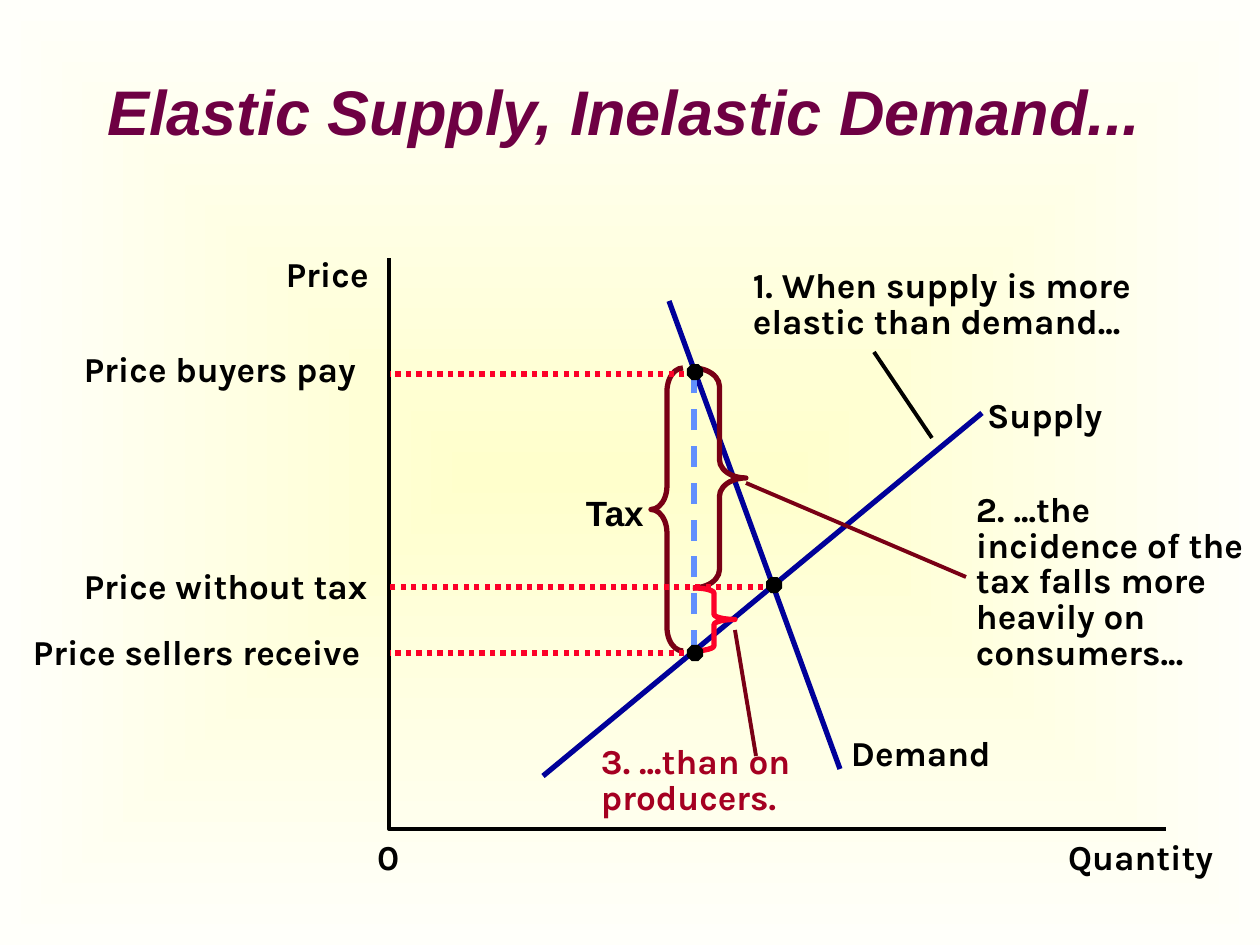
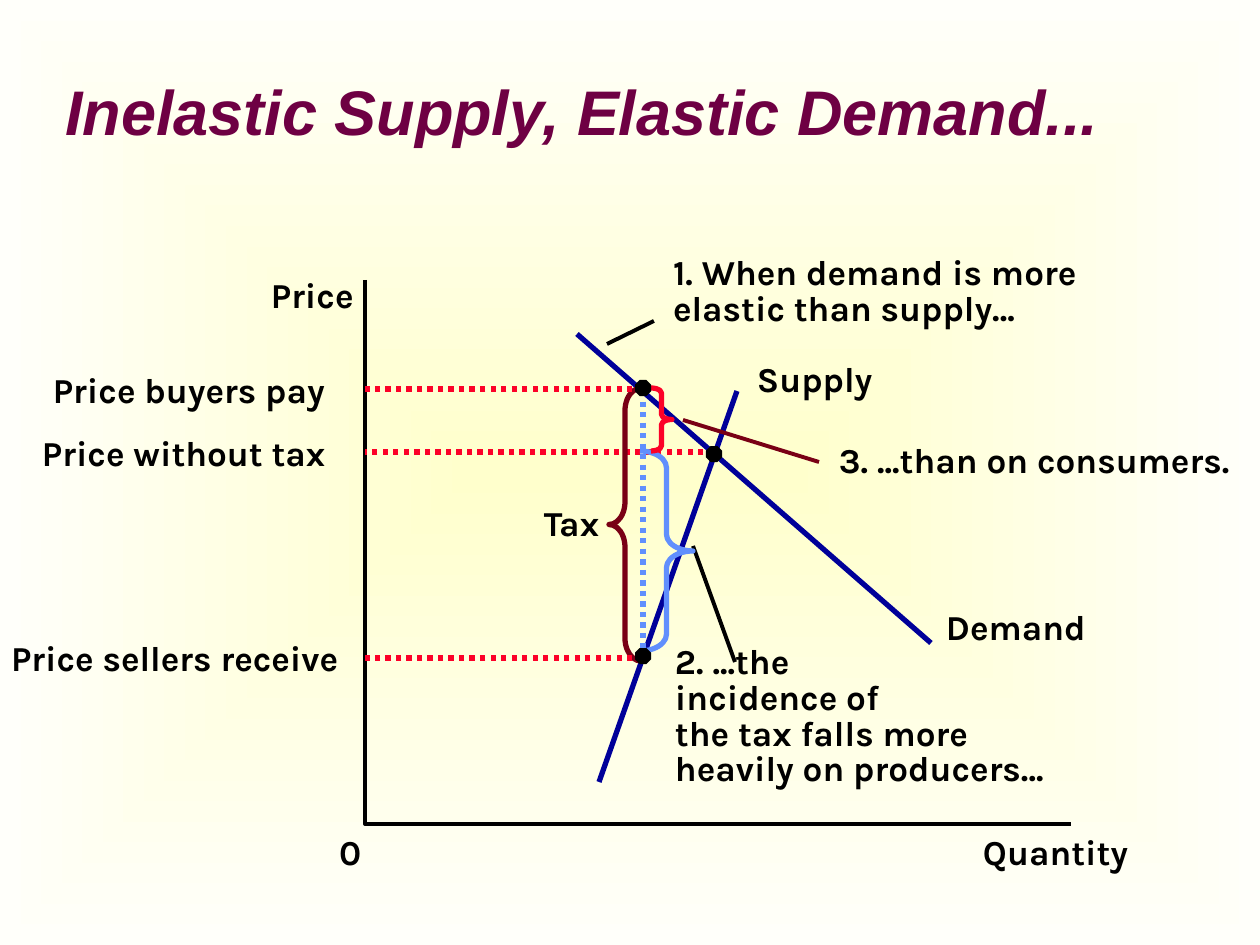
from lxml import etree
from pptx import Presentation
from pptx.dml.color import RGBColor
from pptx.enum.dml import MSO_LINE
from pptx.enum.shapes import MSO_CONNECTOR, MSO_SHAPE
from pptx.enum.text import MSO_ANCHOR
from pptx.oxml.ns import qn
from pptx.util import Pt

SCALE = 914400 / 126  # EMU per px
SLIDE_WIDTH, SLIDE_HEIGHT = 1260, 945
LABEL_HEIGHT, CALLOUT_LINE_HEIGHT = 42, 36
DOT_SIZE = 16

STRAIGHT = MSO_CONNECTOR.STRAIGHT
LEFT_BRACE, RIGHT_BRACE = MSO_SHAPE.LEFT_BRACE, MSO_SHAPE.RIGHT_BRACE
OCTAGON = MSO_SHAPE.OCTAGON
DOTTED, DASHED = MSO_LINE.ROUND_DOT, MSO_LINE.DASH
MIDDLE = MSO_ANCHOR.MIDDLE

TITLE_FONT, LABEL_FONT = "Arial", "Karla"
COLORS = {
    "center": "FFFFCC",
    "edge": "FFFFFA",
    "title": "6E0043",
    "black": "000000",
    "curve": "000099",
    "level": "FC0128",
    "tax": "790015",
    "blue": "618FFD",
    "crimson": "A50021",
}
LABEL_WIDTHS = {
    "Price": 87,
    "Quantity": 156,
    "0": 20,
    "Demand": 147,
    "Supply": 117,
    "Tax": 62,
    "Price buyers pay": 289,
    "Price without tax": 301,
    "Price sellers receive": 347,
}


def px(*lengths):
    return [round(length * SCALE) for length in lengths]


def color(name):
    return RGBColor.from_string(COLORS[name])


def add_slide(presentation):
    """Add a blank slide with a glow from the centre."""
    slide = presentation.slides.add_slide(presentation.slide_layouts[6])
    fill = slide.background.fill
    fill.gradient()
    for stop, name in zip(fill.gradient_stops, ("center", "edge")):
        stop.color.rgb = color(name)
    gradient = slide.element.find(".//" + qn("a:gradFill"))
    gradient.remove(gradient.find(qn("a:lin")))
    glow = etree.SubElement(gradient, qn("a:path"), {"path": "rect"})
    sides = {side: "50000" for side in "ltrb"}
    etree.SubElement(glow, qn("a:fillToRect"), sides)
    return slide


def style_font(font, name, size, color_name):
    font.name = name
    font.size = Pt(size)
    font.bold = True
    font.color.rgb = color(color_name)


def add_title(slide, text, left):
    box = slide.shapes.add_textbox(*px(left, 32, 1150, 157))
    frame = box.text_frame
    frame.word_wrap = True
    frame.vertical_anchor = MIDDLE
    paragraph = frame.paragraphs[0]
    paragraph.text = text
    style_font(paragraph.font, TITLE_FONT, 36, "title")
    paragraph.font.italic = True


def add_text(slide, lines, left, top, width, height, spacing, color_name, font):
    box = slide.shapes.add_textbox(*px(left, top, width, height))
    frame = box.text_frame
    frame.word_wrap = False
    frame.margin_left = frame.margin_right = 0
    frame.margin_top = frame.margin_bottom = 0
    for index, line in enumerate(lines):
        paragraph = frame.add_paragraph() if index else frame.paragraphs[0]
        paragraph.text = line
        paragraph.line_spacing = spacing
        style_font(paragraph.font, font, 20, color_name)


def add_label(slide, text, left, top, width=None, font=LABEL_FONT):
    width = width or LABEL_WIDTHS[text]
    add_text(slide, [text], left, top, width, LABEL_HEIGHT, 1.0, "black", font)


def add_callout(slide, lines, left, top, width, color_name="black"):
    height = CALLOUT_LINE_HEIGHT * len(lines)
    add_text(slide, lines, left, top, width, height, 0.85, color_name, LABEL_FONT)


def add_line(slide, start, end, color_name, weight=3, dash=None):
    connector = slide.shapes.add_connector(STRAIGHT, *px(*start, *end))
    connector.line.color.rgb = color(color_name)
    connector.line.width = Pt(weight)
    if dash:
        connector.line.dash_style = dash
    etree.SubElement(connector._element.spPr, qn("a:effectLst"))


def add_pointer(slide, start, end, color_name="black"):
    add_line(slide, start, end, color_name, weight=2.25)


def add_axes(slide, left, top, right, bottom):
    builder = slide.shapes.build_freeform(left, top, scale=SCALE)
    builder.add_line_segments([(left, bottom), (right, bottom)], close=False)
    axes = builder.convert_to_shape()
    axes.fill.background()
    axes.line.color.rgb = color("black")
    axes.line.width = Pt(2.25)
    axes.shadow.inherit = False


def add_brace(slide, kind, left, top, width, height, color_name):
    brace = slide.shapes.add_shape(kind, *px(left, top, width, height))
    brace.adjustments[0] = height / min(width, height) / 12
    brace.fill.background()
    brace.line.color.rgb = color(color_name)
    brace.line.width = Pt(3)
    brace.shadow.inherit = False


def add_dot(slide, x, y):
    corner = DOT_SIZE / 2
    dot = slide.shapes.add_shape(OCTAGON, *px(x - corner, y - corner, DOT_SIZE, DOT_SIZE))
    dot.fill.solid()
    dot.fill.fore_color.rgb = color("black")
    dot.line.fill.background()
    dot.shadow.inherit = False


def add_price_level(slide, text, text_position, axis_x, y, dot):
    """Add a named dotted line from the price axis to a dot."""
    add_line(slide, (dot[0], y), (axis_x, y), "level", dash=DOTTED)
    add_label(slide, text, *text_position)
    add_dot(slide, *dot)


def build_elastic_supply(presentation):
    slide = add_slide(presentation)
    add_title(slide, "Elastic Supply, Inelastic Demand...", 95)
    add_label(slide, "Quantity", 1068, 835)
    add_label(slide, "0", 377, 835)
    add_label(slide, "Price", 286, 252)
    add_label(slide, "Demand", 851, 731)
    add_label(slide, "Supply", 987, 393)
    add_line(slide, (543, 776), (982, 413), "curve")
    add_line(slide, (840, 769), (669, 301), "curve")
    add_axes(slide, 389, 258, 1166, 829)

    add_label(slide, "Tax", 586, 491, font=TITLE_FONT)
    add_line(slide, (694, 651), (694, 374), "blue", dash=DASHED)
    add_brace(slide, LEFT_BRACE, 651, 368, 32, 283, "tax")

    add_pointer(slide, (932, 438), (874, 352))
    add_callout(slide, ["1. When supply is more", "elastic than demand..."], 753, 270, 403)
    add_brace(slide, RIGHT_BRACE, 693, 368, 53, 220, "tax")
    incidence = ["2. ...the", "incidence of the", "tax falls more", "heavily on", "consumers..."]
    add_callout(slide, incidence, 976, 494, 280)
    add_pointer(slide, (966, 577), (746, 483), "tax")
    add_callout(slide, ["3. ...than on", "producers."], 601, 746, 205, "crimson")
    add_pointer(slide, (756, 756), (735, 630), "tax")
    add_brace(slide, RIGHT_BRACE, 693, 588, 42, 63, "level")

    add_price_level(slide, "Price without tax", (84, 564), 390, 587, (774, 585))
    add_price_level(slide, "Price buyers pay", (84, 347), 390, 374, (695, 372))
    add_price_level(slide, "Price sellers receive", (33, 630), 390, 653, (695, 653))


def build_inelastic_supply(presentation):
    slide = add_slide(presentation)
    add_title(slide, "Inelastic Supply, Elastic Demand...", 53)
    add_label(slide, "Quantity", 983, 830)
    add_label(slide, "0", 339, 830)
    add_label(slide, "Price", 271, 273)
    add_label(slide, "Demand", 946, 605)
    add_label(slide, "Supply", 757, 357)
    add_axes(slide, 365, 280, 1071, 824)
    add_line(slide, (577, 334), (931, 643), "curve")
    add_line(slide, (737, 391), (599, 782), "curve")

    add_price_level(slide, "Price without tax", (42, 431), 365, 452, (714, 454))
    add_line(slide, (643, 391), (643, 658), "blue", dash=DOTTED)
    add_label(slide, "Tax", 544, 501)
    add_brace(slide, LEFT_BRACE, 609, 388, 32, 273, "tax")

    add_callout(slide, ["1. When demand is more", "elastic than supply..."], 673, 257, 432)
    add_pointer(slide, (607, 344), (654, 321))
    incidence = ["2. ...the", "incidence of", "the tax falls more", "heavily on producers..."]
    add_callout(slide, incidence, 675, 646, 397)
    add_pointer(slide, (693, 546), (735, 662))
    add_brace(slide, RIGHT_BRACE, 640, 451, 53, 200, "blue")
    add_label(slide, "3. ...than on consumers.", 839, 438, 417)
    add_pointer(slide, (819, 462), (683, 420), "tax")
    add_brace(slide, RIGHT_BRACE, 651, 388, 21, 63, "level")

    add_price_level(slide, "Price buyers pay", (53, 368), 365, 389, (643, 388))
    add_price_level(slide, "Price sellers receive", (11, 636), 365, 658, (643, 656))


def main():
    presentation = Presentation()
    presentation.slide_width, presentation.slide_height = px(SLIDE_WIDTH, SLIDE_HEIGHT)
    build_elastic_supply(presentation)
    build_inelastic_supply(presentation)
    presentation.save("out.pptx")


if __name__ == "__main__":
    main()
